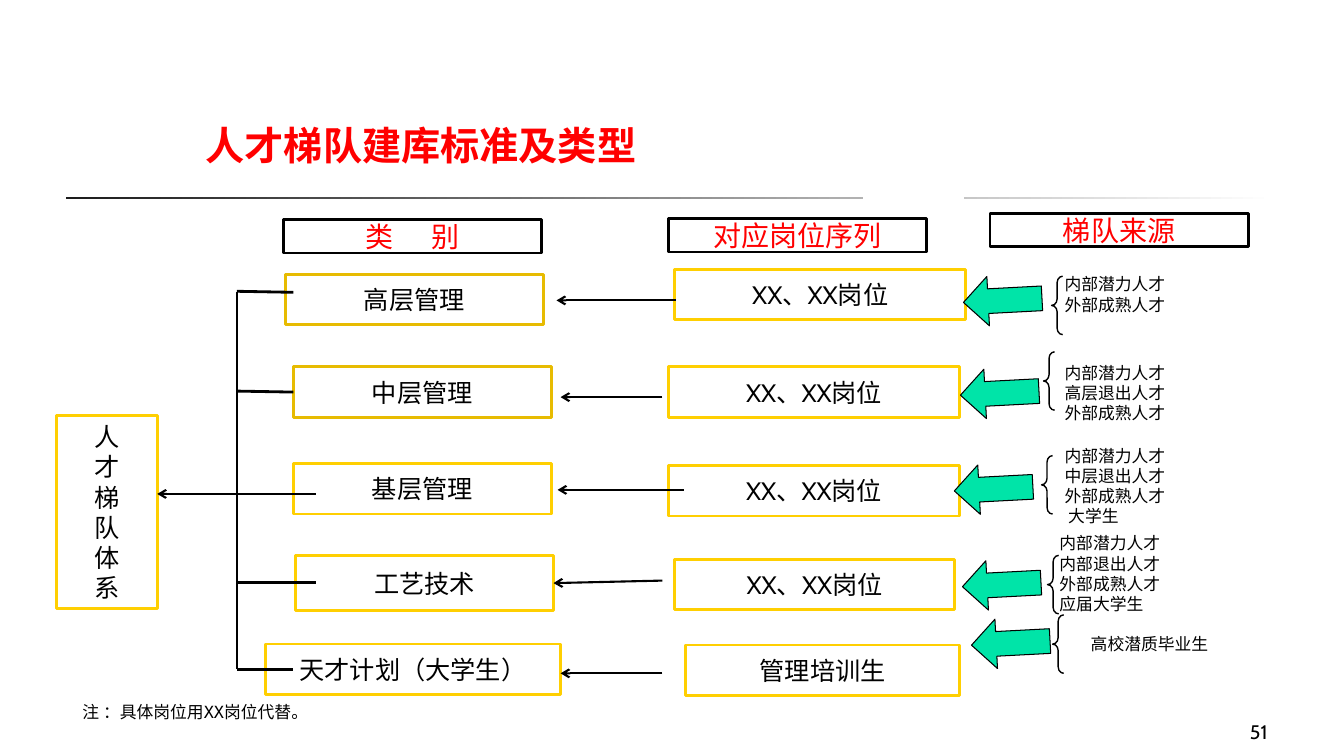
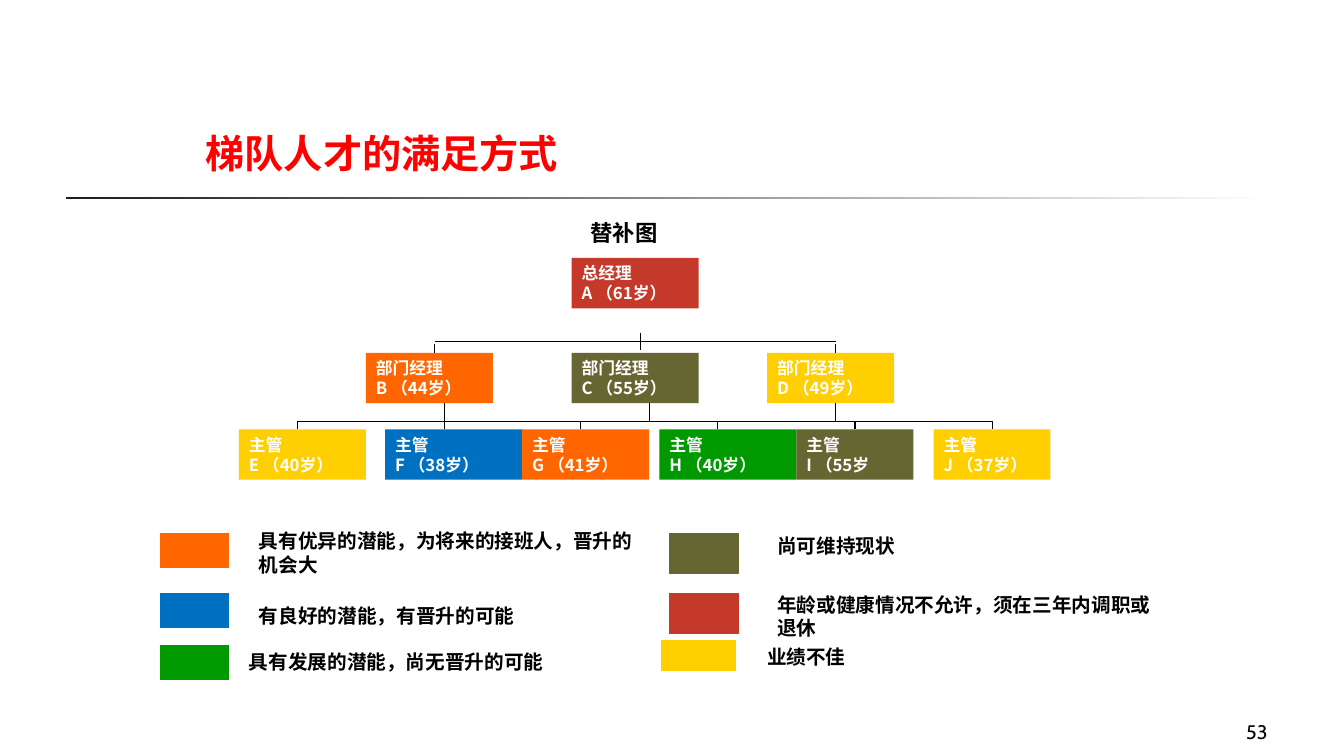
from copy import deepcopy

from lxml.etree import SubElement
from pptx import Presentation
from pptx.dml.color import RGBColor
from pptx.enum.shapes import MSO_CONNECTOR, MSO_SHAPE
from pptx.enum.text import MSO_ANCHOR, PP_ALIGN
from pptx.oxml.ns import qn
from pptx.util import Inches, Pt

WHITE, BLACK, RED = "FFFFFF", "000000", "FF0000"
YELLOW, GOLD, GREEN = "FFCF01", "E7BB01", "00E4A8"
ORANGE, BLUE, LEAF, OLIVE, BRICK = "FF6600", "0070C0", "009900", "666633", "C4392A"
CJK = "Noto Sans CJK SC"
TOP, RIGHT, LEFT = 0, 3, 1

TITLE = dict(size=28, name=CJK, color=RED, bold=True)
HEADER = dict(size=20, name="Cabin", color=RED)
BODY = dict(size=18, name="Cabin", color=BLACK)
SOURCE = dict(size=12, name="Arial", color=BLACK)
NOTE = dict(size=12, name="DejaVu Sans Mono", color=BLACK)
PAGE = dict(size=14, name="Cabin", color=BLACK)
CARD = dict(size=12, name=CJK, color=WHITE, bold=True)
LEGEND = dict(size=14, name=CJK, color=BLACK, bold=True)
CHART_TITLE = dict(size=16, name=CJK, color=BLACK, bold=True)


def rgb(value):
    return RGBColor.from_string(value)


def write(sp, text, style, align=PP_ALIGN.LEFT, anchor=MSO_ANCHOR.TOP, wrap=True):
    """Put one paragraph per line of text into the shape."""
    tf = sp.text_frame
    tf.word_wrap, tf.vertical_anchor = wrap, anchor
    for i, line in enumerate(text.split("\n")):
        p = tf.paragraphs[0] if i == 0 else tf.add_paragraph()
        p.alignment, p.line_spacing = align, Pt(style["size"] * 1.2)
        r = p.add_run()
        r.text = line
        for key, value in style.items():
            if key == "color":
                r.font.color.rgb = rgb(value)
            else:
                setattr(r.font, key, Pt(value) if key == "size" else value)
        SubElement(r.font._element, qn("a:ea")).set("typeface", CJK)


def add_text(s, at, text, style, **layout):
    sp = s.shapes.add_textbox(*map(Inches, at))
    write(sp, text, style, **layout)


def add_shape(s, at, fill=None, line=None, width=2, kind=MSO_SHAPE.RECTANGLE):
    sp = s.shapes.add_shape(kind, *map(Inches, at))
    sp.shadow.inherit = False
    if fill:
        sp.fill.solid()
        sp.fill.fore_color.rgb = rgb(fill)
    else:
        sp.fill.background()
    if line:
        sp.line.color.rgb = rgb(line)
        sp.line.width = Pt(width)
    else:
        sp.line.fill.background()
    return sp


def add_box(s, at, text, line=YELLOW, style=BODY):
    sp = add_shape(s, at, WHITE, line)
    write(sp, text, style, PP_ALIGN.CENTER, MSO_ANCHOR.MIDDLE, False)
    return sp


def add_card(s, x, y, width, color, text):
    sp = add_shape(s, (x, y, width, 0.5), color)
    write(sp, text, CARD)
    return sp


def add_line(s, x1, y1, x2, y2, width=2, arrow=False, end=None):
    """Draw a line; end is an optional (shape, side) to join."""
    c = s.shapes.add_connector(MSO_CONNECTOR.STRAIGHT, *map(Inches, (x1, y1, x2, y2)))
    c.line.color.rgb = rgb(BLACK)
    c.line.width = Pt(width)
    if arrow:
        SubElement(c.line._get_or_add_ln(), qn("a:tailEnd")).set("type", "arrow")
    SubElement(c._element.spPr, qn("a:effectLst"))
    if end:
        c.end_connect(*end)


def add_brace(s, x, y):
    sp = add_shape(s, (x, y, 0.11, 0.58), None, BLACK, 1, MSO_SHAPE.LEFT_BRACE)
    sp.adjustments[0] = 0.58


def add_source_arrow(s, x, y):
    sp = add_shape(s, (x, y, 0.49, 0.78), GREEN, BLACK, 0.75, MSO_SHAPE.DOWN_ARROW)
    sp.rotation = 87


def spread_pair(sp, gap):
    """Set the two characters of a one-run label apart by gap points."""
    p = sp.text_frame.paragraphs[0]
    first, second = p.runs[0].text
    p._p.append(deepcopy(p.runs[0]._r))
    p.runs[0].text, p.runs[1].text = first, second
    p.runs[0].font._element.set("spc", str(gap * 100))


def new_slide(prs, title, title_top, number):
    s = prs.slides.add_slide(prs.slide_layouts[6])
    rule = add_shape(s, (0.65, 1.95, 11.99, 0.03))
    rule.fill.gradient()
    rule.fill.gradient_angle = 0
    for stop, color, position in zip(rule.fill.gradient_stops, ("1C1C1C", WHITE), (0, 1)):
        stop.color.rgb = rgb(color)
        stop.position = position
    add_text(s, (1.94, title_top, 7.59, 0.57), title, TITLE)
    add_text(s, (9.89, 6.92, 2.78, 0.5), number, PAGE,
             align=PP_ALIGN.RIGHT, anchor=MSO_ANCHOR.BOTTOM)
    return s


def talent_types(prs):
    s = new_slide(prs, "人才梯队建库标准及类型", 1.15, "51")
    add_shape(s, (8.56, 1.68, 1, 0.5), WHITE)
    add_text(s, (0.72, 6.78, 10.5, 0.56), "注 ：具体岗位用XX岗位代替。", NOTE,
             anchor=MSO_ANCHOR.MIDDLE)

    category, _, _ = [add_box(s, (x, y, 2.56, 0.33), text, BLACK, HEADER) for x, y, text in (
        (2.81, 2.18, "类别"), (6.63, 2.17, "对应岗位序列"), (9.82, 2.12, "梯队来源"))]
    spread_pair(category, 27)

    add_box(s, (0.56, 4.12, 1, 1.92), "\n".join("人才梯队体系"))
    _, middle, _, technical, _ = [add_box(s, *box) for box in (
        ((2.83, 2.72, 2.56, 0.5), "高层管理", GOLD),
        ((2.91, 3.64, 2.56, 0.5), "中层管理", GOLD),
        ((2.91, 4.6, 2.56, 0.5), "基层管理"),
        ((2.93, 5.51, 2.56, 0.55), "工艺技术"),
        ((2.63, 6.39, 2.93, 0.5), "天才计划（大学生）"))]

    posts = "XX、XX岗位"
    for x, y, width, text in ((6.69, 2.67, 2.89, posts), (6.63, 3.64, 2.89, posts),
                              (6.63, 4.62, 2.89, posts), (6.69, 5.55, 2.78, posts),
                              (6.8, 6.4, 2.72, "管理培训生")):
        add_box(s, (x, y, width, 0.5), text)

    trunk = 2.35
    add_line(s, trunk, 2.9, trunk, 6.64)
    for y1, x2, y2, end in ((2.89, 2.91, 2.9, None), (3.88, 2.91, 3.88, (middle, LEFT)),
                            (5.78, 3.13, 5.78, None), (6.64, 2.91, 6.64, None)):
        add_line(s, trunk, y1, x2, y2, end=end)

    for x1, y1, x2, y2, end in (
            (3.13, 4.9, 1.56, 4.9, None), (6.7, 2.98, 5.52, 2.98, None),
            (6.57, 3.94, 5.56, 3.94, None), (6.78, 4.86, 5.53, 4.86, None),
            (6.57, 5.76, 5.48, 5.79, (technical, RIGHT)), (6.57, 6.68, 5.56, 6.68, None)):
        add_line(s, x1, y1, x2, y2, 1.5, True, end)

    for x, y, height, text in (
            (10.46, 2.67, 0.5, "内部潜力人才\n外部成熟人才"),
            (10.46, 3.58, 0.64, "内部潜力人才\n高层退出人才\n外部成熟人才"),
            (10.46, 4.57, 0.5, "内部潜力人才\n中层退出人才\n外部成熟人才\n 大学生"),
            (10.41, 5.44, 0.5, "内部潜力人才\n内部退出人才\n外部成熟人才\n应届大学生"),
            (10.72, 6.14, 0.5, "高校潜质毕业生")):
        add_text(s, (x, y, 1.57, height), text, SOURCE, anchor=MSO_ANCHOR.MIDDLE)
    for x, y in ((10.43, 2.74), (10.35, 3.49), (10.33, 4.52), (10.39, 5.51), (10.44, 6.1)):
        add_brace(s, x, y)
    for x, y in ((9.7, 2.59), (9.67, 3.51), (9.61, 4.46), (9.69, 5.41), (9.78, 5.99)):
        add_source_arrow(s, x, y)


def replacement_chart(prs):
    s = new_slide(prs, "梯队人才的满足方式", 1.23, "53")
    add_text(s, (5.76, 2.12, 0.88, 0.37), "替补图", CHART_TITLE, wrap=False)

    add_card(s, 5.67, 2.56, 1.26, BRICK, "总经理\nA （61岁）")
    for x, color, person in ((3.63, ORANGE, "B （44岁）"), (5.67, OLIVE, "C （55岁）"),
                             (7.61, YELLOW, "D （49岁）")):
        add_card(s, x, 3.5, 1.26, color, "部门经理\n" + person)
    *_, card_i, card_j = [add_card(s, x, 4.26, width, color, "主管\n" + person)
                          for x, width, color, person in (
        (2.37, 1.26, YELLOW, "E （40岁）"), (3.82, 1.36, BLUE, "F （38岁）"),
        (5.18, 1.26, ORANGE, "G （41岁）"), (6.54, 1.36, LEAF, "H （40岁）"),
        (7.9, 1.16, OLIVE, "I （55岁"), (9.26, 1.16, YELLOW, "J （37岁）"))]

    manager_bus, staff_bus = 3.39, 4.18
    joins = {8.48: (card_i, TOP), 9.84: (card_j, TOP)}
    lines = [(4.31, manager_bus, 8.29, manager_bus), (6.35, 3.3, 6.35, 3.47),
             (2.95, staff_bus, 9.84, staff_bus)]
    lines += [(x, 3.41, x, 3.5) for x in (4.31, 8.29)]
    lines += [(x, 4, x, staff_bus) for x in (4.41, 6.44, 8.29)]
    for line in lines:
        add_line(s, *line, width=0.75)
    for x in (2.95, 4.41, 5.76, 7.12, 8.48, 9.84):
        add_line(s, x, staff_bus, x, 4.26, 0.75, end=joins.get(x))

    for swatch, color, x, y, text in (
            ((1.59, 5.29, 0.68, 0.34), ORANGE, 2.47, 5.2,
             "具有优异的潜能，为将来的接班人，晋升的机会大"),
            ((1.59, 5.89, 0.68, 0.34), BLUE, 2.47, 5.94, "有良好的潜能，有晋升的可能"),
            ((1.59, 6.4, 0.68, 0.34), LEAF, 2.37, 6.4, "具有发展的潜能，尚无晋升的可能"),
            ((6.64, 5.29, 0.68, 0.4), OLIVE, 7.61, 5.25, "尚可维持现状"),
            ((6.64, 5.89, 0.68, 0.4), BRICK, 7.61, 5.83,
             "年龄或健康情况不允许，须在三年内调职或退休"),
            ((6.56, 6.35, 0.74, 0.3), YELLOW, 7.51, 6.35, "业绩不佳")):
        add_shape(s, swatch, color, color, 0.75)
        add_text(s, (x, y, 3.98, 0.34), text, LEGEND)


def main():
    prs = Presentation()
    prs.slide_width, prs.slide_height = Inches(13.33), Inches(7.5)
    talent_types(prs)
    replacement_chart(prs)
    prs.save("out.pptx")


if __name__ == "__main__":
    main()
